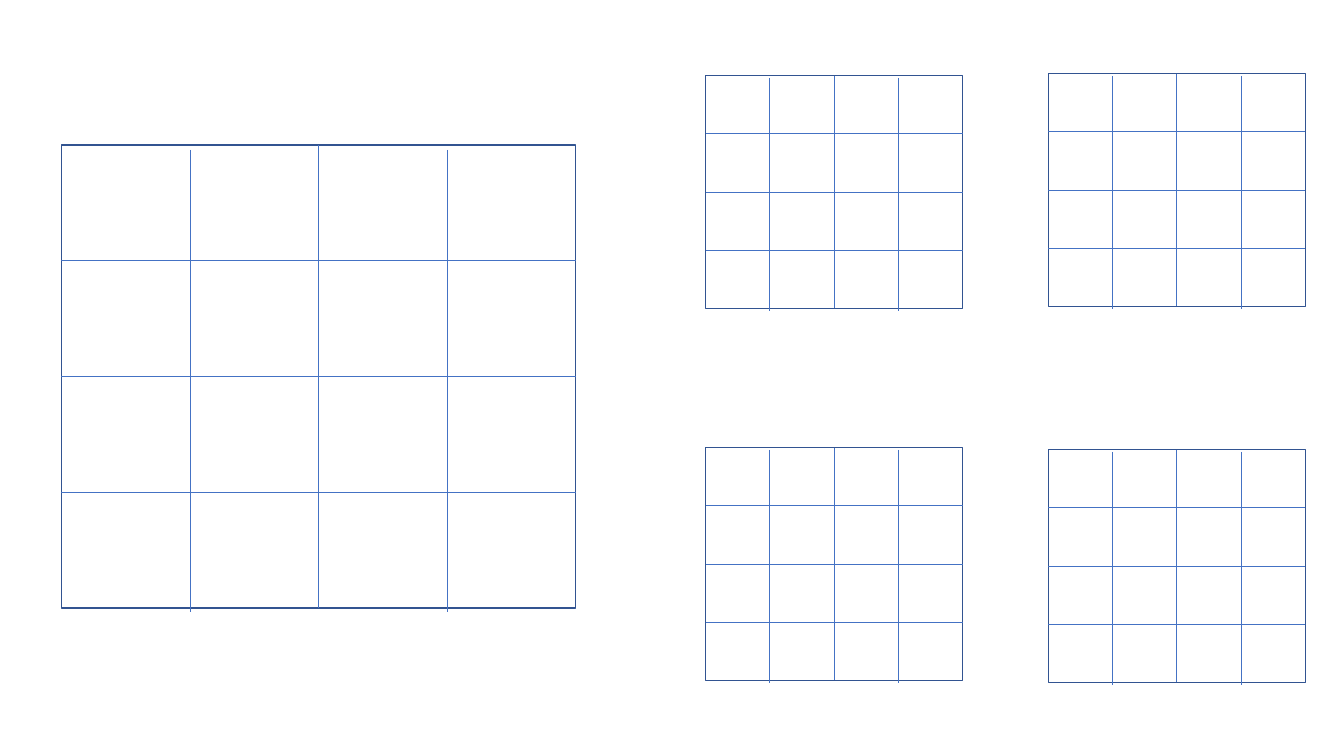
"""Build a slide with one large and four small four-by-four grids."""
from dataclasses import dataclass

from pptx import Presentation
from pptx.dml.color import RGBColor
from pptx.enum.shapes import MSO_CONNECTOR as Connector, MSO_SHAPE as Shape
from pptx.oxml.ns import qn
from pptx.util import Pt
from lxml.etree import SubElement

SMALL = (183.6, 166.3)
GRIDS = [
    (43.9, 103.7, 367.2, 330.5),
    (504, 54, *SMALL),
    (748.8, 52.6, *SMALL),
    (504, 319.7, *SMALL),
    (748.8, 321.1, *SMALL),
]
ROWS = (0.5, 0.25, 0.75)
MIDDLE_COLUMN = (0.5, 0)
SIDE_COLUMNS = [(0.25, 0.01), (0.75, 0.01)]


@dataclass(frozen=True)
class Theme:
    """Colours and line widths of the grids."""
    paper: str = "FFFFFF"
    frame: str = "325491"
    rule: str = "4472C4"
    frame_width: float = 1
    rule_width: float = 0.5


THEME = Theme()


def style_line(line, color, width):
    """Set the colour and width of a line."""
    line.color.rgb = RGBColor.from_string(color)
    line.width = Pt(width)


def add_frame(group, left, top, width, height):
    """Add the outer square of a grid."""
    frame = group.shapes.add_shape(
        Shape.RECTANGLE, Pt(left), Pt(top), Pt(width), Pt(height))
    frame.shadow.inherit = False
    frame.fill.solid()
    frame.fill.fore_color.rgb = RGBColor.from_string(THEME.paper)
    style_line(frame.line, THEME.frame, THEME.frame_width)


def add_rule(group, *ends):
    """Add a thin line between two points."""
    rule = group.shapes.add_connector(Connector.STRAIGHT, *map(Pt, ends))
    style_line(rule.line, THEME.rule, THEME.rule_width)
    SubElement(rule._element.spPr, qn("a:effectLst"))


def add_grid(page, left, top, width, height):
    """Add a grouped grid with its frame, rows and columns."""
    group = page.shapes.add_group_shape()
    add_frame(group, left, top, width, height)

    def add_column(share, drop):
        x, y = left + share * width, top + drop * height
        add_rule(group, x, y, x, y + height)

    add_column(*MIDDLE_COLUMN)
    for share in ROWS:
        y = top + share * height
        add_rule(group, left, y, left + width, y)
    for column in SIDE_COLUMNS:
        add_column(*column)


deck = Presentation()
deck.slide_width, deck.slide_height = Pt(960), Pt(540)
page = deck.slides.add_slide(deck.slide_layouts[6])
for grid in GRIDS:
    add_grid(page, *grid)
deck.save("out.pptx")
